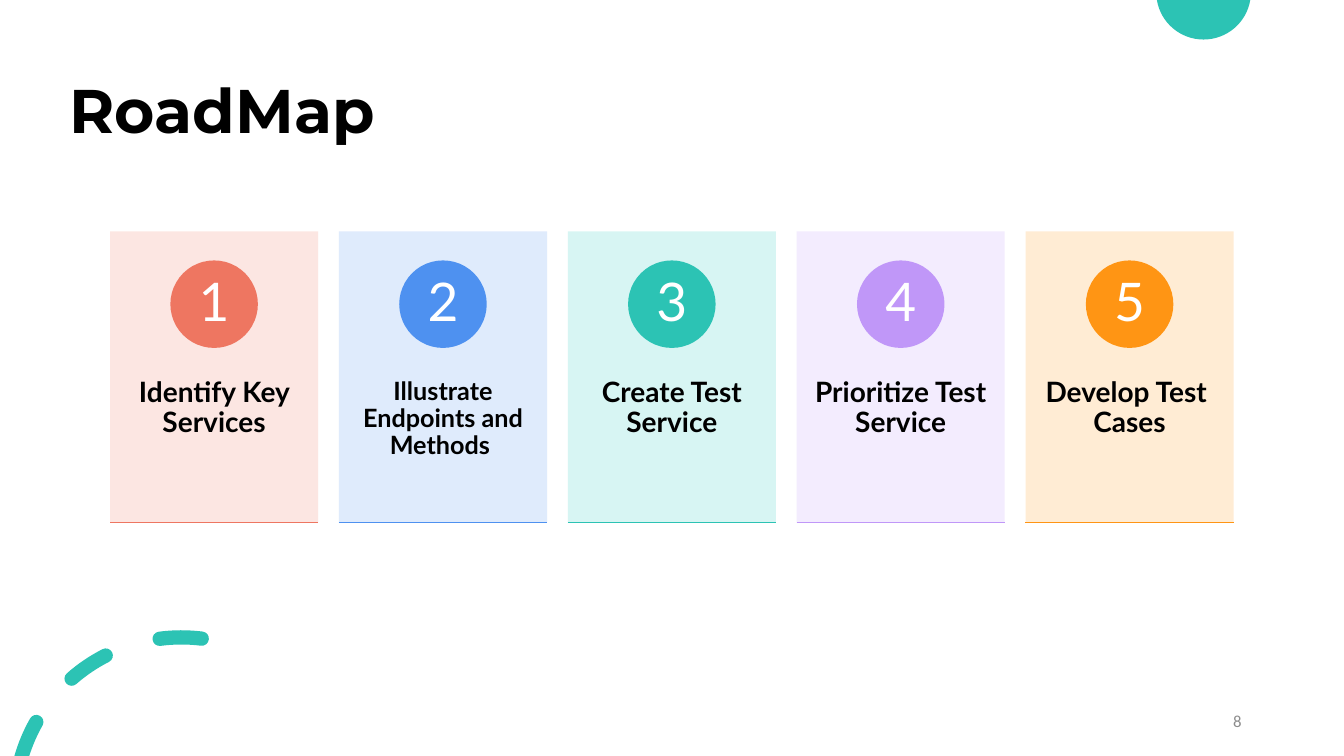
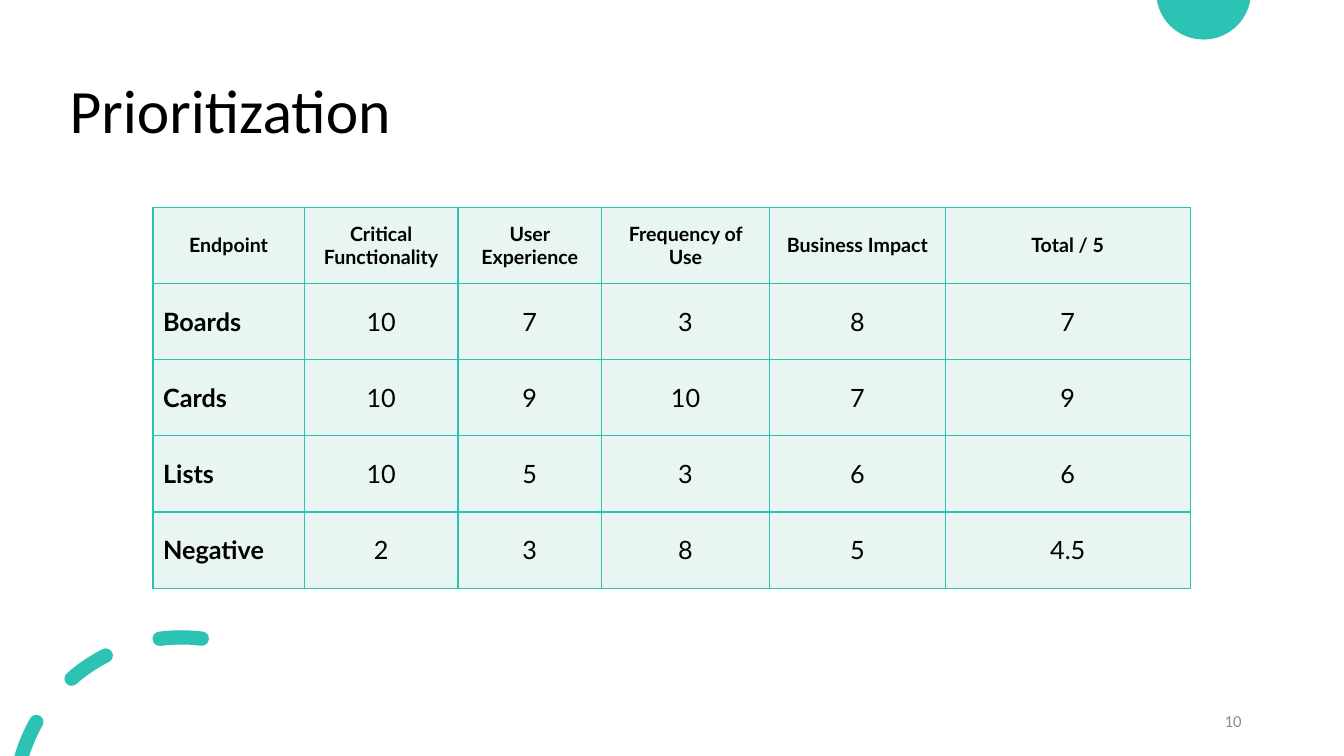
from collections import namedtuple
from math import asin, cos, degrees, radians, sin, tan

from lxml.etree import SubElement
from pptx import Presentation
from pptx.dml.color import RGBColor
from pptx.enum.shapes import MSO_CONNECTOR as Connector, MSO_SHAPE as Preset
from pptx.enum.text import MSO_ANCHOR as Anchor, MSO_AUTO_SIZE as AutoSize, PP_ALIGN as Align
from pptx.oxml import parse_xml
from pptx.oxml.ns import nsdecls, qn
from pptx.util import Pt

Box = namedtuple("Box", "left top width height")
Step = namedtuple("Step", "label size accent tint")

BLACK = RGBColor(0x00, 0x00, 0x00)
WHITE = RGBColor(0xFF, 0xFF, 0xFF)
GREY = RGBColor(0x8C, 0x8C, 0x8C)
TEAL = RGBColor(0x2C, 0xC3, 0xB4)
CORAL = RGBColor(0xEE, 0x76, 0x61)
BLUE = RGBColor(0x4E, 0x91, 0xF0)
PURPLE = RGBColor(0xC0, 0x97, 0xF8)
ORANGE = RGBColor(0xFF, 0x95, 0x14)
PALE_CORAL = RGBColor(0xFC, 0xE4, 0xDF)
PALE_BLUE = RGBColor(0xDC, 0xE9, 0xFC)
PALE_TEAL = RGBColor(0xD3, 0xF5, 0xF2)
PALE_PURPLE = RGBColor(0xF2, 0xEA, 0xFE)
PALE_ORANGE = RGBColor(0xFF, 0xEA, 0xD0)
MINT = RGBColor(0xE8, 0xF5, 0xF2)

PAGE_WIDTH, PAGE_HEIGHT = 960, 540
TITLE_BOX = Box(42.5, 28.8, 828, 104.4)
NUMBER_BOX = Box(678, 500.5, 216, 28.75)
CARDS_BOX = Box(78.6, 165.3, 802.6, 207.9)
TABLE_BOX = Box(109.3, 148.1, 740.9, 272)

CARD_GAP = 14.8
CARD_INSETS = {"margin_left": Pt(11.5), "margin_top": Pt(105),
               "margin_right": Pt(11.5), "margin_bottom": Pt(30)}
NO_INSETS = {"margin_left": 0, "margin_top": 0, "margin_right": 0, "margin_bottom": 0}
BADGE_SIZE = 62.5
BADGE_DROP = 20.7

DISC_CENTER, DISC_RADIUS = (859.7, -5.5), 33.8
RING_CENTER, RING_RADIUS, RING_HALF = (129.6, 574.4), 119.1, 5.1
FIRST_DASH_END = 29.5
ROUND_DASHES = [(48.8, 63), (82.5, 97)]

STEPS = [
    Step("Identify Key Services", 20, CORAL, PALE_CORAL),
    Step("Illustrate Endpoints and Methods ", 18, BLUE, PALE_BLUE),
    Step("Create Test Service", 20, TEAL, PALE_TEAL),
    Step("Prioritize Test Service", 20, PURPLE, PALE_PURPLE),
    Step("Develop Test  Cases", 20, ORANGE, PALE_ORANGE),
]
COLUMN_WIDTHS = [108, 109.9, 102.4, 120.2, 125.4, 175]
SCORES = [
    ["Endpoint", "Critical Functionality", "User Experience",
     "Frequency of Use", "Business Impact", "Total / 5"],
    ["Boards", "10", "7", "3", "8", "7"],
    ["Cards", "10", "9", "10", "7", "9"],
    ["Lists", "10", "5", "3", "6", "6"],
    ["Negative", "2", "3", "8", "5", "4.5"],
]


def assign(target, values):
    """Set each named attribute of the target."""
    for name, value in values.items():
        setattr(target, name, value)


def points(box):
    """Turn lengths in points into slide units."""
    return [Pt(length) for length in box]


def write(frame, text, color, font, align=Align.CENTER, spacing=1.0):
    """Write one formatted paragraph into a text frame."""
    para = frame.paragraphs[0]
    assign(para, {"alignment": align, "line_spacing": spacing})
    span = para.add_run()
    span.text = text
    assign(span.font, font)
    span.font.color.rgb = color


def paint(shape, color):
    """Give a shape a plain fill without outline or shadow."""
    shape.fill.solid()
    shape.fill.fore_color.rgb = color
    shape.line.fill.background()
    shape.shadow.inherit = False


def spot(center, radius, angle):
    """Find the point of a circle at an angle clockwise from the left."""
    turn = radians(angle)
    return center[0] - radius * cos(turn), center[1] - radius * sin(turn)


def arc(center, radius, start, end, parts=1):
    """List the control and end points of the curves along an arc."""
    sweep = (end - start) / parts
    reach = radius * 4 / 3 * tan(radians(sweep) / 4)
    trail = []
    for part in range(parts):
        first, last = start + part * sweep, start + (part + 1) * sweep
        for angle, pull in ((first, reach), (last, -reach)):
            x, y = spot(center, radius, angle)
            trail.append((x + pull * sin(radians(angle)), y - pull * cos(radians(angle))))
        trail.append(spot(center, radius, last))
    return trail


def crossing(center, radius, level):
    """Find the angle at which a circle meets a horizontal level."""
    return degrees(asin((center[1] - level) / radius))


def dash(outer_start, inner_start, end, rounded=True):
    """Outline one dash of the ring as its first point and its curves."""
    outer, inner = RING_RADIUS + RING_HALF, RING_RADIUS - RING_HALF
    tip = spot(RING_CENTER, RING_RADIUS, end)
    outline = [spot(RING_CENTER, outer, outer_start),
               *arc(RING_CENTER, outer, outer_start, end),
               *arc(tip, RING_HALF, end, end + 180, 2),
               *arc(RING_CENTER, inner, end, inner_start)]
    if rounded:
        tail = spot(RING_CENTER, RING_RADIUS, outer_start)
        outline += arc(tail, RING_HALF, outer_start + 180, outer_start + 360, 2)
    return outline


def add_curved(page, outlines):
    """Draw closed outlines as one teal shape, three points to a curve."""
    builder = page.shapes.build_freeform(*points(outlines[0][0]), scale=1.0)
    for index, (first, *trail) in enumerate(outlines):
        if index:
            builder.move_to(*points(first))
        builder.add_line_segments([points(point) for point in trail], close=True)
    shape = builder.convert_to_shape()
    paint(shape, TEAL)
    route = shape._element.find(".//" + qn("a:path"))
    lines = route.findall(qn("a:lnTo"))
    for index in range(0, len(lines), 3):
        curve = route.makeelement(qn("a:cubicBezTo"))
        lines[index].addprevious(curve)
        for line in lines[index:index + 3]:
            curve.append(line[0])
            route.remove(line)
    return shape


def decorate(layout, page):
    """Put the half disc and the dashed ring on the layout."""
    side = crossing(DISC_CENTER, DISC_RADIUS, 0)
    disc = [spot(DISC_CENTER, DISC_RADIUS, side),
            *arc(DISC_CENTER, DISC_RADIUS, side, -180 - side, 2)]
    outer, inner = [crossing(RING_CENTER, RING_RADIUS + offset, PAGE_HEIGHT)
                    for offset in (RING_HALF, -RING_HALF)]
    ring = [dash(outer, inner, FIRST_DASH_END, rounded=False)]
    ring += [dash(start, start, end) for start, end in ROUND_DASHES]
    for number, outlines in enumerate(([disc], ring), 20):
        element = add_curved(page, outlines)._element
        element.nvSpPr.cNvPr.set("id", str(number))
        layout.shapes._spTree.append(element)


def add_page(deck, title, number, title_font):
    """Add a slide with its title and page number."""
    page = deck.slides.add_slide(deck.slide_layouts[5])
    holder = page.shapes.title
    assign(holder, dict(zip(Box._fields, points(TITLE_BOX))))
    assign(holder.text_frame, {"vertical_anchor": Anchor.MIDDLE, "word_wrap": True,
                               "auto_size": AutoSize.NONE})
    write(holder.text_frame, title, BLACK, {"size": Pt(44), **title_font}, Align.LEFT, 0.9)
    frame = page.shapes.add_textbox(*points(NUMBER_BOX)).text_frame
    assign(frame, {"vertical_anchor": Anchor.MIDDLE, "word_wrap": True})
    write(frame, number, GREY, {"name": "Calibri", "size": Pt(12)}, Align.RIGHT)
    return page


def add_card(page, box, number, step):
    """Draw one tinted card with its numbered badge and base line."""
    card = page.shapes.add_shape(Preset.RECTANGLE, *points(box))
    paint(card, step.tint)
    tint = card.fill._xPr.find(qn("a:solidFill"))[0]
    SubElement(tint, qn("a:alpha"), val="90000")
    assign(card.text_frame, {"vertical_anchor": Anchor.TOP, "word_wrap": True, **CARD_INSETS})
    write(card.text_frame, step.label, BLACK,
          {"name": "Lato", "size": Pt(step.size), "bold": True}, spacing=0.9)

    badge_box = Box(box.left + (box.width - BADGE_SIZE) / 2, box.top + BADGE_DROP,
                    BADGE_SIZE, BADGE_SIZE)
    badge = page.shapes.add_shape(Preset.OVAL, *points(badge_box))
    paint(badge, step.accent)
    assign(badge.text_frame, {"vertical_anchor": Anchor.MIDDLE, "word_wrap": False, **NO_INSETS})
    write(badge.text_frame, str(number), WHITE, {"name": "Lato", "size": Pt(38)}, spacing=0.9)

    bottom = Pt(box.top + box.height)
    base = page.shapes.add_connector(Connector.STRAIGHT, Pt(box.left), bottom,
                                     Pt(box.left + box.width), bottom)
    base.line.width = Pt(1)
    base.line.color.rgb = step.accent
    SubElement(base._element.spPr, qn("a:effectLst"))


def add_cards(page, box, steps):
    """Spread the step cards evenly over the box."""
    width = (box.width - CARD_GAP * (len(steps) - 1)) / len(steps)
    for index, step in enumerate(steps):
        left = box.left + index * (width + CARD_GAP)
        add_card(page, Box(left, box.top, width, box.height), index + 1, step)


def add_borders(cell):
    """Draw a teal border on all four sides of a cell."""
    properties = cell._tc.get_or_add_tcPr()
    for index, side in enumerate(("lnL", "lnR", "lnT", "lnB")):
        properties.insert(index, parse_xml(
            f'<a:{side} {nsdecls("a")} w="{Pt(1)}"><a:solidFill>'
            f'<a:srgbClr val="{TEAL}"/></a:solidFill></a:{side}>'))


def add_scores(page, box, rows):
    """Fill the box with the table of scores."""
    table = page.shapes.add_table(len(rows), len(rows[0]), *points(box)).table
    assign(table, {"first_row": False, "horz_banding": False})
    for column, width in zip(table.columns, COLUMN_WIDTHS):
        column.width = Pt(width)
    for r, values in enumerate(rows):
        table.rows[r].height = Pt(box.height / len(rows))
        for c, value in enumerate(values):
            cell = table.cell(r, c)
            cell.vertical_anchor = Anchor.MIDDLE
            cell.fill.solid()
            cell.fill.fore_color.rgb = MINT
            add_borders(cell)
            font = {"name": "Lato", "size": Pt(18 if r else 14), "bold": r == 0 or c == 0}
            write(cell.text_frame, value, BLACK, font,
                  Align.LEFT if r and c == 0 else Align.CENTER)


def main():
    """Build and save the deck."""
    deck = Presentation()
    assign(deck, {"slide_width": Pt(PAGE_WIDTH), "slide_height": Pt(PAGE_HEIGHT)})
    roadmap = add_page(deck, "RoadMap", "8", {"name": "Montserrat", "bold": True})
    decorate(roadmap.slide_layout, roadmap)
    add_cards(roadmap, CARDS_BOX, STEPS)
    prioritization = add_page(deck, "Prioritization", "10", {"name": "Calibri"})
    add_scores(prioritization, TABLE_BOX, SCORES)
    deck.save("out.pptx")


if __name__ == "__main__":
    main()
